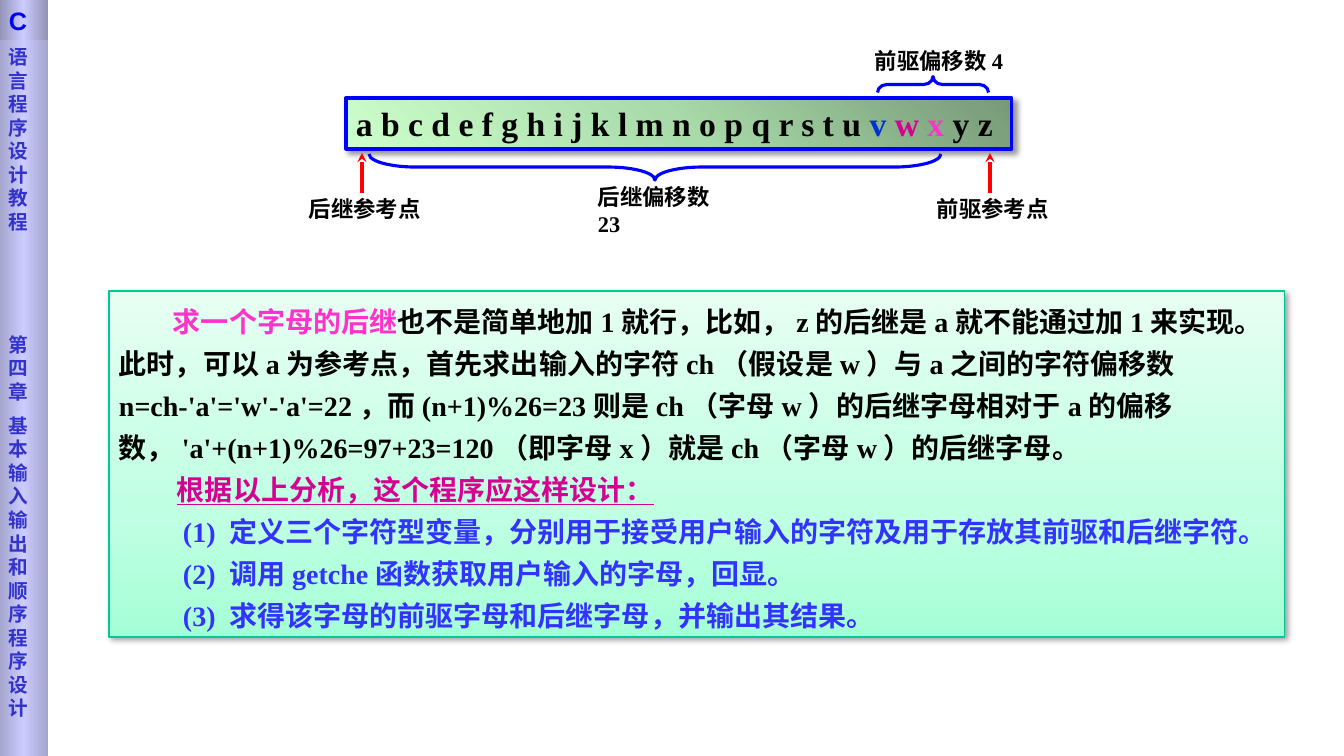
from pptx import Presentation
from pptx.dml.color import RGBColor
from pptx.enum.shapes import MSO_CONNECTOR, MSO_SHAPE
from pptx.enum.text import MSO_ANCHOR, PP_ALIGN
from pptx.oxml import parse_xml
from pptx.oxml.ns import nsdecls, qn
from pptx.util import Emu, Pt

RECT, BRACE = MSO_SHAPE.RECTANGLE, MSO_SHAPE.LEFT_BRACE
STRAIGHT = MSO_CONNECTOR.STRAIGHT
TOP, MIDDLE = MSO_ANCHOR.TOP, MSO_ANCHOR.MIDDLE
LEFT = PP_ALIGN.LEFT

SCALE = 914400 / 100.8
HUES = {
    "black": "000000", "blue": "0000FF", "red": "FF0000", "pink": "FF33CC",
    "plum": "D60093", "royal": "0033CC", "step": "3333FF", "side": "3333CC",
    "edge": "00C896",
}
LINEAR = '<a:lin ang="{}" scaled="1"/>'
CORNER = ('<a:path path="circle">'
          '<a:fillToRect l="100000" t="0" r="0" b="100000"/></a:path>')
MINT = ([(0, "A5FFD6"), (35, "BFFFE2"), (100, "E7FFF3")],
        LINEAR.format(16200000))
GREEN = ([(0, "779977"), (50, "A9DAA9"), (100, "CCFFCC")], CORNER)
LILAC = ([(0, "A4A4CD"), (50, "CCCCFF"), (100, "A4A4CD")], LINEAR.format(0))
DUSK = ([(0, "9292B6"), (50, "CCCCFF"), (100, "9292B6")], LINEAR.format(0))


def px(n):
    return Emu(round(n * SCALE))


def make(tag, inner="", attrs=""):
    return parse_xml(f'<a:{tag} {nsdecls("a")} {attrs}>{inner}</a:{tag}>')


class Board:
    def __init__(self, slide, font="Times New Roman"):
        self.shapes = slide.shapes
        self.font = font

    def stroke(self, shape, hue, width):
        shape.line.color.rgb = RGBColor.from_string(HUES[hue])
        shape.line.width = Pt(width)

    def panel(self, box, grad, edge=None, width=1):
        """Rectangle with a gradient; an edged one also casts a shadow."""
        shape = self.shapes.add_shape(RECT, *map(px, box))
        shape.fill.background()
        stops, shade = grad
        marks = "".join(f'<a:gs pos="{at * 1000}"><a:srgbClr val="{hue}"/></a:gs>'
                        for at, hue in stops)
        props = shape._element.spPr
        props.replace(props.find(qn("a:noFill")),
                      make("gradFill", f"<a:gsLst>{marks}</a:gsLst>{shade}"))
        shape.shadow.inherit = False
        if edge:
            self.stroke(shape, edge, width)
            props.find(qn("a:effectLst")).append(make(
                "outerShdw",
                '<a:srgbClr val="000000"><a:alpha val="40000"/></a:srgbClr>',
                f'blurRad="{Pt(4)}" dist="{Pt(3)}" dir="2700000" algn="tl"'))
        else:
            shape.line.fill.background()
        return shape

    def letter(self, shape, paras, size, font=None, anchor=TOP):
        """Fill a shape with paragraphs, each a list of (text, hue) runs."""
        frame = shape.text_frame
        frame.word_wrap = True
        frame.vertical_anchor = anchor
        for i, runs in enumerate(paras):
            para = frame.add_paragraph() if i else frame.paragraphs[0]
            para.alignment = LEFT
            for text, hue in runs:
                run = para.add_run()
                run.text = text
                run.font.name = font or self.font
                run.font.size = Pt(size)
                run.font.bold = True
                run.font.color.rgb = RGBColor.from_string(HUES[hue])
        return frame

    def label(self, box, text):
        shape = self.shapes.add_textbox(*map(px, box))
        self.letter(shape, [[(text, "black")]], 16)

    def arrow(self, x, start, end):
        line = self.shapes.add_connector(STRAIGHT, px(x), px(start), px(x), px(end))
        self.stroke(line, "red", 2.25)
        props = line._element.spPr
        props.find(qn("a:ln")).append(make("tailEnd", attrs='type="stealth"'))
        props.append(make("effectLst"))

    def brace(self, box, turn, curve):
        shape = self.shapes.add_shape(BRACE, *map(px, box))
        shape.rotation = turn
        shape.adjustments[0] = curve
        shape.fill.background()
        shape.shadow.inherit = False
        self.stroke(shape, "blue", 2.25)


def main():
    deck = Presentation()
    deck.slide_width, deck.slide_height = px(1344), px(756)
    board = Board(deck.slides.add_slide(deck.slide_layouts[6]))

    # Side bar, one character a line
    bar = board.panel((-1, 0, 49, 756), LILAC)
    frame = board.letter(bar, [[(text, "side")] for text in (
        "语言程序设计教程", "第四章", "基本输入输出和顺序程序设计")],
        14, "DejaVu Sans")
    frame.margin_top = px(45)
    for para, gap in zip(frame.paragraphs[1:], (71, 7.5)):
        para.space_before = Pt(gap)
    head = board.panel((-1, 0, 49, 40), DUSK)
    board.letter(head, [[("C", "blue")]], 18, "Arial", MIDDLE)

    # Alphabet strip
    strip = board.panel((346, 98, 666, 51), GREEN, "blue", 2.25)
    board.letter(strip, [[
        ("a b c d e f g h i j k l m n o p q r s t u ", "black"),
        ("v ", "royal"), ("w ", "plum"), ("x", "pink"), (" y z", "black"),
    ]], 24, anchor=MIDDLE)

    # Reference points
    for x, text in ((362, "后继参考点"), (990, "前驱参考点")):
        board.arrow(x, 193, 153)
        board.label((x - 63, 190, 143, 37), text)

    # Offsets
    board.brace((642, -119, 26, 572), 270, 1.81)
    board.label((588, 178, 159, 37), "后继偏移数23")
    board.brace((925, 29, 16, 111), 90, 0.58)
    board.label((865, 42, 159, 37), "前驱偏移数4")

    # Analysis and design steps
    steps = (
        "(1) 定义三个字符型变量，分别用于接受用户输入的字符及用于存放其前驱和后继字符。",
        "(2) 调用getche函数获取用户输入的字母，回显。",
        "(3) 求得该字母的前驱字母和后继字母，并输出其结果。",
    )
    proof = ("也不是简单地加1就行，比如，z的后继是a就不能通过加1来实现。"
             "此时，可以a为参考点，首先求出输入的字符ch（假设是w）与a之间的字符偏移数"
             "n=ch-'a'='w'-'a'=22，而(n+1)%26=23则是ch（字母w）的后继字母相对于a的偏移数，"
             "'a'+(n+1)%26=97+23=120（即字母x）就是ch（字母w）的后继字母。")
    note = board.panel((109, 291, 1176, 346), MINT, "edge", 0.75)
    frame = board.letter(note, [
        [("求一个字母的后继", "pink"), (proof, "black")],
        [("根据以上分析，这个程序应这样设计：", "plum")],
        *[[(step, "step")] for step in steps],
    ], 20, anchor=MIDDLE)
    for para, inset in zip(frame.paragraphs, (54, 58, 64, 64, 64)):
        para.line_spacing = Pt(30)
        para._p.get_or_add_pPr().set("indent", str(px(inset)))
    frame.paragraphs[1].runs[0].font.underline = True

    deck.save("out.pptx")


if __name__ == "__main__":
    main()
